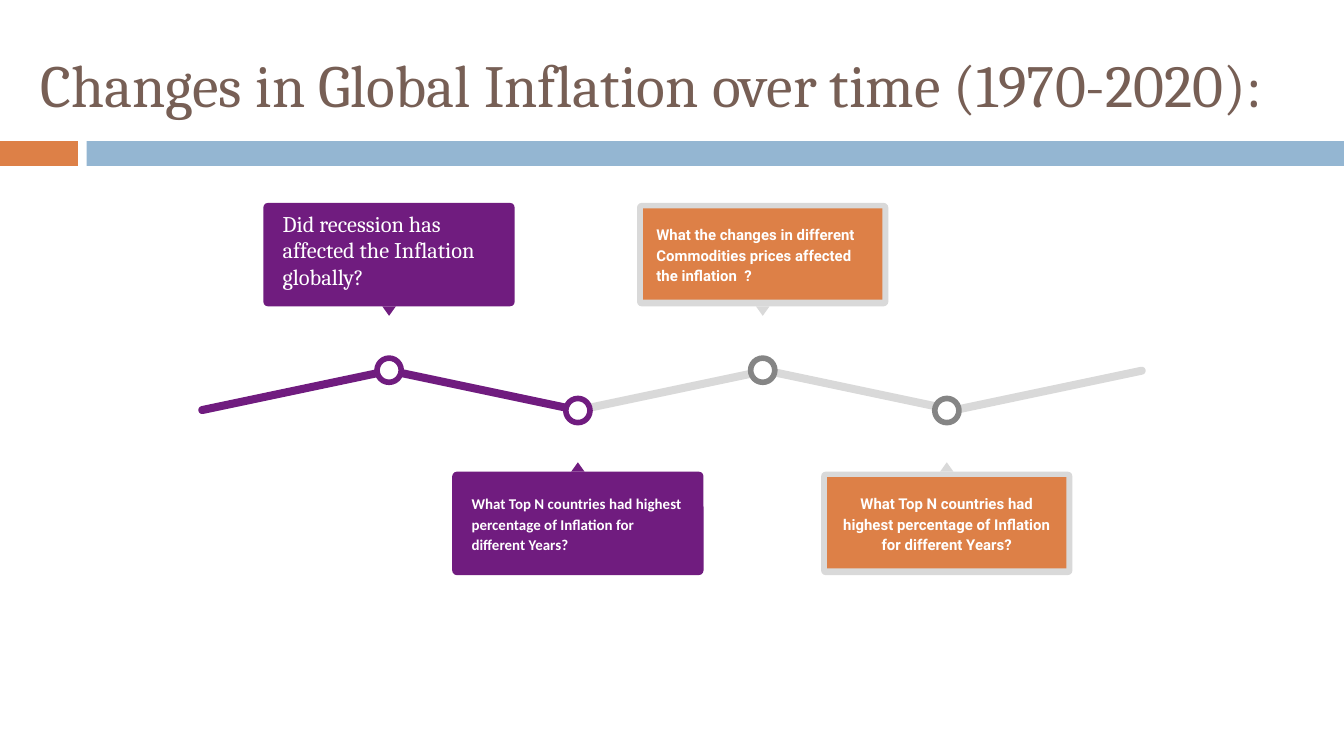
from pptx import Presentation
from pptx.dml.color import RGBColor
from pptx.enum.shapes import MSO_SHAPE
from pptx.enum.text import MSO_ANCHOR, MSO_AUTO_SIZE, PP_ALIGN
from pptx.util import Inches, Pt

RECT, ROUND = MSO_SHAPE.RECTANGLE, MSO_SHAPE.ROUNDED_RECTANGLE
OVAL, TIP = MSO_SHAPE.OVAL, MSO_SHAPE.ISOSCELES_TRIANGLE
TOP, MID = MSO_ANCHOR.TOP, MSO_ANCHOR.MIDDLE
LEFT, CENTER = PP_ALIGN.LEFT, PP_ALIGN.CENTER
FIXED = MSO_AUTO_SIZE.NONE

# Grid: 100 columns by 56.25 rows of square cells (16:9)
CELL = Inches(0.1)
COLS, ROWS = 100, 56.25

THEME = {
    "brown": "775F55", "orange": "DD8047", "blue": "94B6D2",
    "purple": "701C7F", "pale": "D9D9D9", "gray": "858585", "white": "FFFFFF",
    "title": {"name": "Cambria", "size": Pt(32), "bold": False},
    "lead": {"name": "Cambria", "size": Pt(12), "bold": False},
    "note": {"name": "Calibri", "size": Pt(8), "bold": True},
    "label": {"name": "Roboto", "size": Pt(8), "bold": True},
}

# Text, node column, above the line, done, type style, alignment
STEPS = [
    ("Did recession has affected the Inflation globally?",
     28.95, True, True, "lead", LEFT),
    ("What Top N countries had highest percentage of Inflation for different Years?",
     43, False, True, "note", LEFT),
    ("What the changes in different Commodities prices affected the inflation  ?",
     56.75, True, False, "label", LEFT),
    ("What Top N countries had highest percentage of Inflation for different Years?",
     70.45, False, False, "label", CENTER),
]


def tint(name):
    return RGBColor.from_string(THEME[name])


def cells(*vals):
    return [round(v * CELL) for v in vals]


def apply(item, form):
    for key, val in form.items():
        setattr(item, key, val)


def draw(slide, kind, box, fill, line=None, turn=0, bend=None):
    part = slide.shapes.add_shape(kind, *cells(*box))
    part.shadow.inherit = False
    part.rotation = turn
    part.fill.solid()
    part.fill.fore_color.rgb = tint(fill)
    if line:
        part.line.color.rgb = tint(line)
        part.line.width = Pt(3)
    else:
        part.line.fill.background()
    if bend is not None:
        part.adjustments[0] = bend
    return part


def write(part, text, style, color, align=LEFT, anchor=MID, lead=1.0):
    frame = part.text_frame
    apply(frame, {"word_wrap": True, "auto_size": FIXED,
                  "vertical_anchor": anchor, "margin_left": CELL,
                  "margin_right": CELL, "margin_top": CELL,
                  "margin_bottom": CELL})
    frame.text = text
    para = frame.paragraphs[0]
    apply(para, {"alignment": align, "line_spacing": lead})
    font = para.runs[0].font
    apply(font, THEME[style])
    font.color.rgb = tint(color)


def header(slide, box):
    x, y, w, h = box
    # Title
    title = slide.shapes.title
    spots = cells(x + 2, y + 2.55, w - 3.5, 6.3)
    apply(title, dict(zip(("left", "top", "width", "height"), spots)))
    write(title, "Changes in Global Inflation over time (1970-2020):",
          "title", "brown", anchor=TOP)
    # Two-part band along the bottom edge
    band = 1.85
    draw(slide, RECT, (x, y + h - band, 5.8, band), "orange")
    draw(slide, RECT, (x + 6.45, y + h - band, w - 6.45, band), "blue")


def path(slide, box, count, done):
    x, y, w, h = box
    step, size, thick = w / count, 14.8, 0.6
    for i in reversed(range(count)):
        mid = x + step * (i + 0.5)
        spot = (mid - size / 2, y + (h - thick) / 2, size, thick)
        draw(slide, ROUND, spot, "purple" if i < done else "pale",
             turn=11.9 if i % 2 else 348.1, bend=0.5)


def card(slide, box, text, up, done, style, align):
    x, y, w, h = box
    fill = "purple" if done else "pale"
    draw(slide, ROUND, box, fill, bend=0.045)
    # Pointer towards the line
    tip_y = y + h if up else y - 0.7
    draw(slide, TIP, (x + w / 2 - 0.5, tip_y, 1, 0.7), fill,
         turn=180 if up else 0)
    # Inner panel with the question
    lead = style == "lead"
    spot = (x + 0.45, y + (-0.5 if lead else 0.4), w - 0.9, h - 0.9)
    if done:
        panel = slide.shapes.add_textbox(*cells(*spot))
    else:
        panel = draw(slide, RECT, spot, "orange")
    write(panel, text, style, "white", align,
          TOP if lead else MID, 1.0 if lead else 1.15)


def node(slide, box, done):
    draw(slide, OVAL, box, "white", "purple" if done else "gray")


def timeline(slide, box):
    x, y, w, h = box
    wide, tall, dot, rise = 18.7, 7.7, 1.8, 1.5
    mid = y + h / 2 + 0.1
    path(slide, (x, mid - rise, w, 2 * rise), len(STEPS) + 1, 2)
    for text, col, up, done, style, align in STEPS:
        top = y if up else y + h - tall
        card(slide, (col - wide / 2, top, wide, tall),
             text, up, done, style, align)
        level = mid + (-rise if up else rise)
        node(slide, (col - dot / 2, level - dot / 2, dot, dot), done)


def main():
    deck = Presentation()
    deck.slide_width, deck.slide_height = cells(COLS, ROWS)
    slide = deck.slides.add_slide(deck.slide_layouts[5])
    header(slide, (0, 0, COLS, 12.35))
    timeline(slide, (15, 15.1, 70, 27.7))
    deck.save("out.pptx")


if __name__ == "__main__":
    main()
